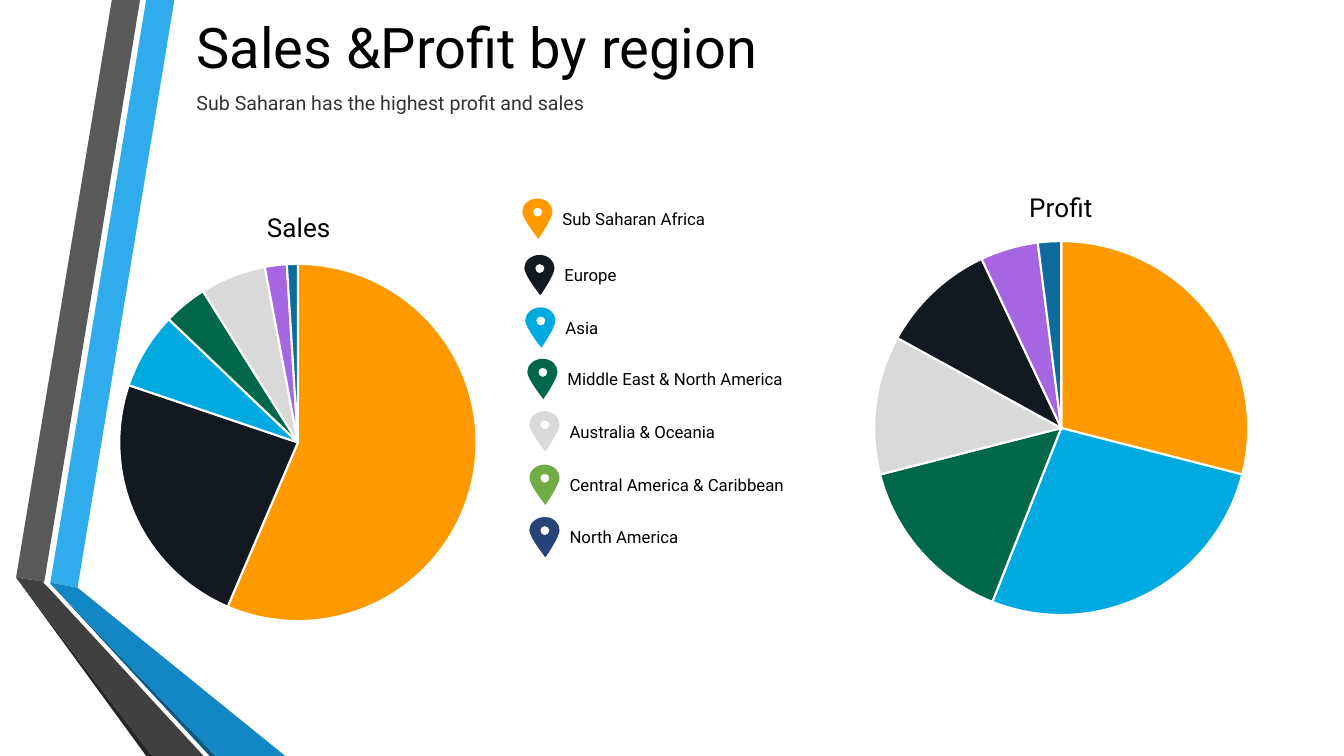
import lxml.etree
import pptx
import pptx.chart.data
import pptx.dml.color
import pptx.enum.chart
import pptx.enum.text
import pptx.oxml.ns
import pptx.util
from pptx.util import Inches

ORANGE, NAVY, SKY, GREEN = "FF9900", "131921", "00AAE1", "00674B"
GREY, PURPLE, TEAL = "D9D9D9", "A666E1", "0E6C9C"

# Ribbon pieces, back to front: fill and corner points
RIBBONS = [
    ("30ACEC", [(0.5, 5.78), (0.77, 5.83), (1.73, 0), (1.45, 0)]),
    ("595959", [(1.39, 0), (1.11, 0), (0.16, 5.73), (0.44, 5.77)]),
    ("262626", [(0.16, 5.73), (1.45, 7.5), (1.51, 7.5)]),
    ("0C5A82", [(0.5, 5.79), (2.08, 7.5), (2.14, 7.5)]),
    ("1287C3", [(0.5, 5.79), (2.14, 7.5), (2.83, 7.5), (0.77, 5.83), (0.5, 5.78)]),
    ("404040", [(2.02, 7.5), (0.48, 5.83), (0.43, 5.78), (0.44, 5.77),
                (0.16, 5.73), (1.51, 7.5)]),
]

# Legend entries: label, fill, left and top of the pin
REGIONS = [
    ("Sub Saharan Africa", ORANGE, 5.18, 1.97),
    ("Europe", NAVY, 5.2, 2.53),
    ("Asia", SKY, 5.21, 3.05),
    ("Middle East & North America", GREEN, 5.23, 3.56),
    ("Australia & Oceania", GREY, 5.25, 4.08),
    ("Central America & Caribbean", "70AD47", 5.25, 4.61),
    ("North America", "264478", 5.25, 5.13),
]

# Pin from its top left corner: a start, then three points for each cubic curve
PIN_HOLE = [
    (0.15, 0.09),
    (0.13, 0.09), (0.11, 0.11), (0.11, 0.13),
    (0.11, 0.16), (0.13, 0.18), (0.15, 0.18),
    (0.18, 0.18), (0.2, 0.16), (0.2, 0.13),
    (0.2, 0.11), (0.18, 0.09), (0.15, 0.09),
]
PIN_OUTLINE = [
    (0.15, 0),
    (0.24, 0), (0.3, 0.06), (0.3, 0.13),
    (0.3, 0.2), (0.16, 0.4), (0.16, 0.4),
    (0.16, 0.4), (0, 0.2), (0, 0.13),
    (0, 0.06), (0.07, 0), (0.15, 0),
]


def colour(code):
    return pptx.dml.color.RGBColor.from_string(code)


def add_outline(page, contours, fill):
    contours = [[(Inches(x), Inches(y)) for x, y in points] for points in contours]
    builder = page.shapes.build_freeform(*contours[0][0])
    builder.add_line_segments(contours[0][1:])
    for points in contours[1:]:
        builder.move_to(*points[0])
        builder.add_line_segments(points[1:])
    shape = builder.convert_to_shape()
    shape.shadow.inherit = False
    shape.fill.solid()
    shape.fill.fore_color.rgb = colour(fill)
    shape.line.fill.background()
    return shape


def add_pin(page, left, top, fill):
    shape = add_outline(page, [[(left + x, top + y) for x, y in points]
                               for points in (PIN_HOLE, PIN_OUTLINE)], fill)
    # Turn each three line segments into one cubic curve
    segments = list(shape._element.iter(pptx.oxml.ns.qn("a:lnTo")))
    for start in range(0, len(segments), 3):
        curve = lxml.etree.Element(pptx.oxml.ns.qn("a:cubicBezTo"))
        segments[start].addprevious(curve)
        for segment in segments[start:start + 3]:
            curve.append(segment[0])
            segment.getparent().remove(segment)


def style_font(font, size, code):
    font.name = "Roboto"
    font.size = pptx.util.Pt(size)
    font.color.rgb = colour(code)


def add_text(page, text, left, top, width, height, size, code="000000", spacing=None):
    box = page.shapes.add_textbox(*map(Inches, (left, top, width, height)))
    box.text_frame.word_wrap = True
    box.text_frame.auto_size = pptx.enum.text.MSO_AUTO_SIZE.SHAPE_TO_FIT_TEXT
    para = box.text_frame.paragraphs[0]
    para.line_spacing = spacing
    span = para.add_run()
    span.text = text
    style_font(span.font, size, code)


def set_layout(element, **values):
    """Place a chart part by fractions of the chart's size."""
    qn = pptx.oxml.ns.qn
    for old in element.findall(qn("c:layout")):
        element.remove(old)
    layout = lxml.etree.Element(qn("c:layout"))
    manual = lxml.etree.SubElement(layout, qn("c:manualLayout"))
    if "w" in values:
        lxml.etree.SubElement(manual, qn("c:layoutTarget")).set("val", "inner")
    for name in ("xMode", "yMode"):
        lxml.etree.SubElement(manual, qn("c:" + name)).set("val", "edge")
    for name, value in values.items():
        lxml.etree.SubElement(manual, qn("c:" + name)).set("val", str(value))
    text = element.find(qn("c:tx"))
    if text is None:
        element.insert(0, layout)
    else:
        text.addnext(layout)


def add_pie(page, title, frame, plot, values, fills):
    data = pptx.chart.data.CategoryChartData()
    data.categories = [str(number + 1) for number in range(len(values))]
    data.add_series("Series 1", values)
    chart = page.shapes.add_chart(
        pptx.enum.chart.XL_CHART_TYPE.PIE, *map(Inches, frame), data).chart
    chart.has_legend = False
    chart.font.name = "Cabin"
    chart.font.size = pptx.util.Pt(10)
    chart.font.color.rgb = colour("000000")

    # Title
    chart.has_title = True
    span = chart.chart_title.text_frame.paragraphs[0].add_run()
    span.text = title
    style_font(span.font, 18.6, "000000")
    span.font.bold = False
    chart.chart_title.include_in_layout = False
    set_layout(chart.chart_title._element, x=0.42, y=0.04)

    # Slices
    pie = chart.plots[0]
    pie.vary_by_categories = True
    for index, fill in enumerate(fills):
        look = pie.series[0].points[index].format
        look.fill.solid()
        look.fill.fore_color.rgb = colour(fill)
        look.line.color.rgb = colour("FFFFFF")
        look.line.width = pptx.util.Pt(1.5)
    left, top, height = plot
    set_layout(chart._chartSpace.chart.plotArea,
               x=left, y=top, w=round(1 - 2 * left, 2), h=height)


def main():
    deck = pptx.Presentation()
    deck.slide_width, deck.slide_height = Inches(13.33), Inches(7.5)
    page = deck.slides.add_slide(deck.slide_layouts[6])

    # Side ribbons
    for fill, points in RIBBONS:
        add_outline(page, [points], fill)

    # Headings
    add_text(page, "Sales &Profit by region", 1.85, 0.08, 6.67, 0.77, 40)
    add_text(page, "Sub Saharan has the highest profit and sales",
             1.85, 0.78, 6.67, 0.38, 14, "323536", 1.3)

    # Pies and the legend between them
    add_pie(page, "Sales", (0.74, 1.86, 4.43, 4.44), (0.1, 0.17, 0.8),
            (57, 24, 7, 4, 6, 2, 1), (ORANGE, NAVY, SKY, GREEN, GREY, PURPLE, TEAL))
    for label, fill, left, top in REGIONS:
        add_pin(page, left, top, fill)
        add_text(page, label, left + 0.3, top + 0.05, 2.41, 0.3, 12)
    add_pie(page, "Profit", (8.24, 1.66, 4.57, 4.58), (0.09, 0.16, 0.81),
            (29, 27, 15, 12, 10, 5, 2), (ORANGE, SKY, GREEN, GREY, NAVY, PURPLE, TEAL))

    deck.save("out.pptx")


if __name__ == "__main__":
    main()
